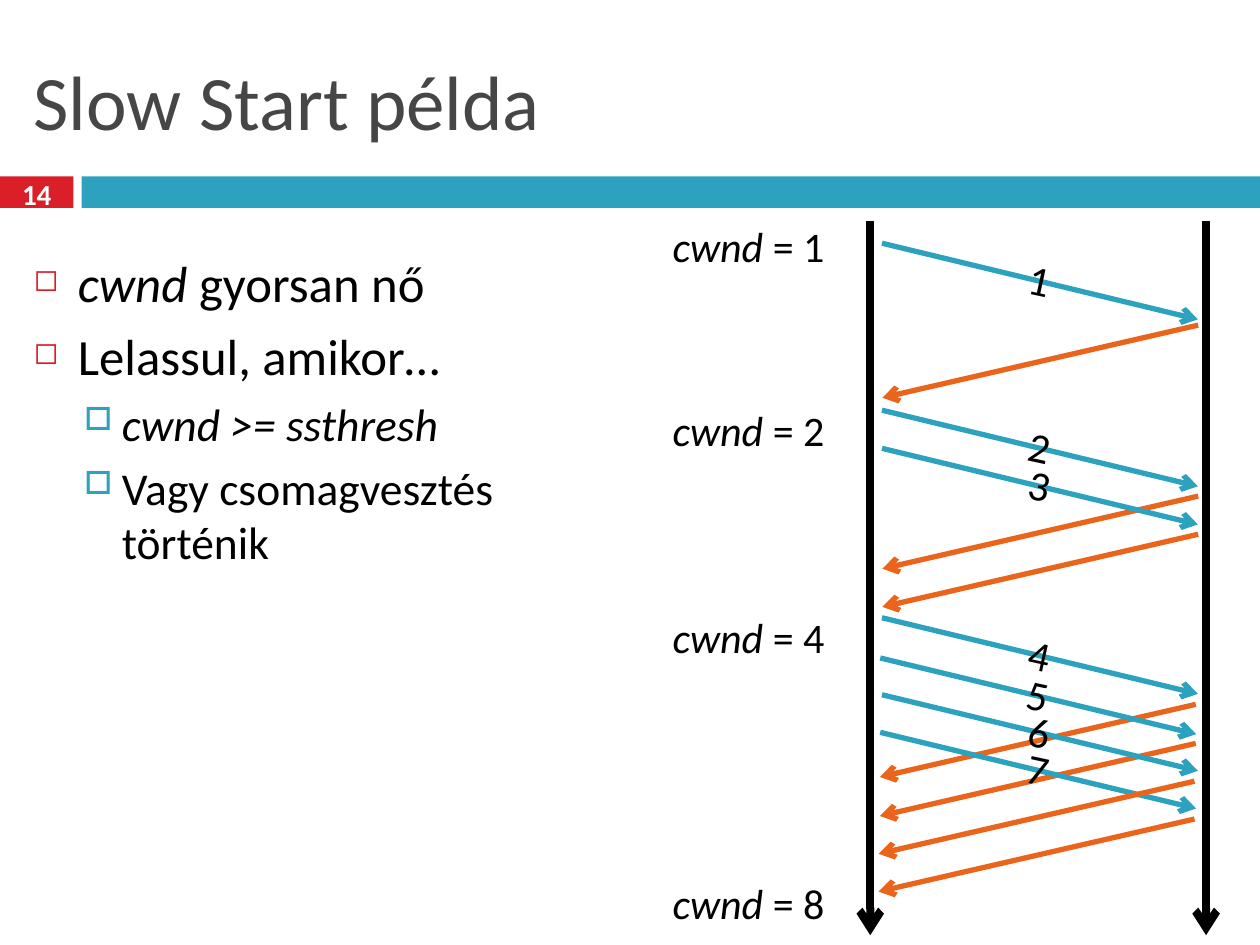
from lxml.etree import SubElement
from pptx import Presentation
from pptx.dml.color import RGBColor
from pptx.enum.shapes import MSO_CONNECTOR, MSO_SHAPE
from pptx.enum.text import MSO_ANCHOR, PP_ALIGN
from pptx.oxml.ns import qn
from pptx.util import Pt

COLORS = {"red": "DA1F28", "teal": "2DA2BF", "orange": "EB641B",
          "gray": "464646", "black": "000000", "white": "FFFFFF"}

deck = Presentation()
deck.slide_width, deck.slide_height = Pt(720), Pt(540)
slide = deck.slides.add_slide(deck.slide_layouts[6])
shapes = slide.shapes


def arrow(parent, start, end, color, width=3):
    line = parent.add_connector(MSO_CONNECTOR.STRAIGHT, *map(Pt, start + end))
    line.line.color.rgb = RGBColor.from_string(COLORS[color])
    line.line.width = Pt(width)
    SubElement(line.line._get_or_add_ln(), qn("a:tailEnd"), type="arrow")
    SubElement(line._element.spPr, qn("a:effectLst"))


def write(para, runs, size, color="black"):
    """Fill a paragraph with (text, italic) runs."""
    font = para.font
    font.name, font.size = "Calibri", Pt(size)
    font.color.rgb = RGBColor.from_string(COLORS[color])
    for text, italic in runs:
        run = para.add_run()
        run.text = text
        run.font.italic = italic


# Header bars
for left, width, color in [(0, 42, "red"), (46.6, 673.4, "teal")]:
    bar = shapes.add_shape(MSO_SHAPE.RECTANGLE, Pt(left), Pt(100.8), Pt(width), Pt(18))
    bar.shadow.inherit = False
    bar.fill.solid()
    bar.fill.fore_color.rgb = RGBColor.from_string(COLORS[color])
    bar.line.fill.background()

# Title and page number
title = shapes.add_textbox(Pt(12), Pt(18), Pt(696), Pt(78)).text_frame
title.word_wrap = True
title.vertical_anchor = MSO_ANCHOR.MIDDLE
write(title.paragraphs[0], [("Slow Start példa", False)], 44, "gray")

page = shapes.add_textbox(Pt(0), Pt(98.8), Pt(42), Pt(24)).text_frame
page.word_wrap = True
page.vertical_anchor = MSO_ANCHOR.MIDDLE
number = page.paragraphs[0]
number.alignment = PP_ALIGN.CENTER
write(number, [("14", False)], 16.6, "white")
number.font.bold = True

# Replies, time axes and numbered packets
replies = [(684.7, 185.8), (684.7, 283.5), (684.7, 305.3), (683.3, 402.5),
           (683.3, 424.8), (682.6, 446.4), (682.6, 468)]
packets = [(504, 139), (504, 234.4), (504, 256.2), (504, 353),
           (503, 376), (504, 397), (503, 418.5)]

for x, y in replies[:5]:
    arrow(shapes, (x, y), (x - 180.5, y + 41.5), "orange")
for x in (497.3, 689.2):
    arrow(shapes, (x, 126), (x, 534.4), "black", 4.5)
for count, (x, y) in enumerate(packets, 1):
    group = shapes.add_group_shape()
    arrow(group.shapes, (x, y), (x + 180.5, y + 43.5), "teal")
    label = group.shapes.add_textbox(Pt(x + 50.2), Pt(y + 2.8), Pt(80), Pt(36))
    label.rotation = 12.3
    label.text_frame.word_wrap = True
    para = label.text_frame.paragraphs[0]
    para.alignment = PP_ALIGN.CENTER
    write(para, [(str(count), False)], 24)
for x, y in replies[5:]:
    arrow(shapes, (x, y), (x - 180.5, y + 41.5), "orange")

# Window sizes
for size, top in [(1, 122.4), (2, 227.8), (4, 345.9), (8, 498.2)]:
    frame = shapes.add_textbox(Pt(377.3), Pt(top), Pt(112.3), Pt(36)).text_frame
    frame.word_wrap = False
    write(frame.paragraphs[0], [("cwnd", True), (f" = {size}", False)], 24)

# Bullets
LEVELS = [  # size, margin, hang, space before, mark, mark color, mark percent
    (29, 25.2, 25.2, 7, "◻", "red", 60),
    (26, 50.4, 21.6, 5.5, "□", "teal", 70),
]
points = [
    (0, [("cwnd ", True), ("gyorsan nő", False)]),
    (0, [("Lelassul, amikor…", False)]),
    (1, [("cwnd >= ssthresh", True)]),
    (1, [("Vagy csomagvesztés történik", False)]),
]
body = shapes.add_textbox(Pt(12.2), Pt(140.4), Pt(332.6), Pt(387.4)).text_frame
body.word_wrap = True
for row, (level, runs) in enumerate(points):
    size, margin, hang, space, mark, color, percent = LEVELS[level]
    para = body.add_paragraph() if row else body.paragraphs[0]
    para.level = level
    para.space_before = Pt(space)
    props = para._p.get_or_add_pPr()
    props.set("marL", str(Pt(margin)))
    props.set("indent", str(-Pt(hang)))
    tint = SubElement(props, qn("a:buClr"))
    SubElement(tint, qn("a:srgbClr"), val=COLORS[color])
    SubElement(props, qn("a:buSzPct"), val=str(percent * 1000))
    SubElement(props, qn("a:buChar"), char=mark)
    write(para, runs, size)

deck.save("out.pptx")
